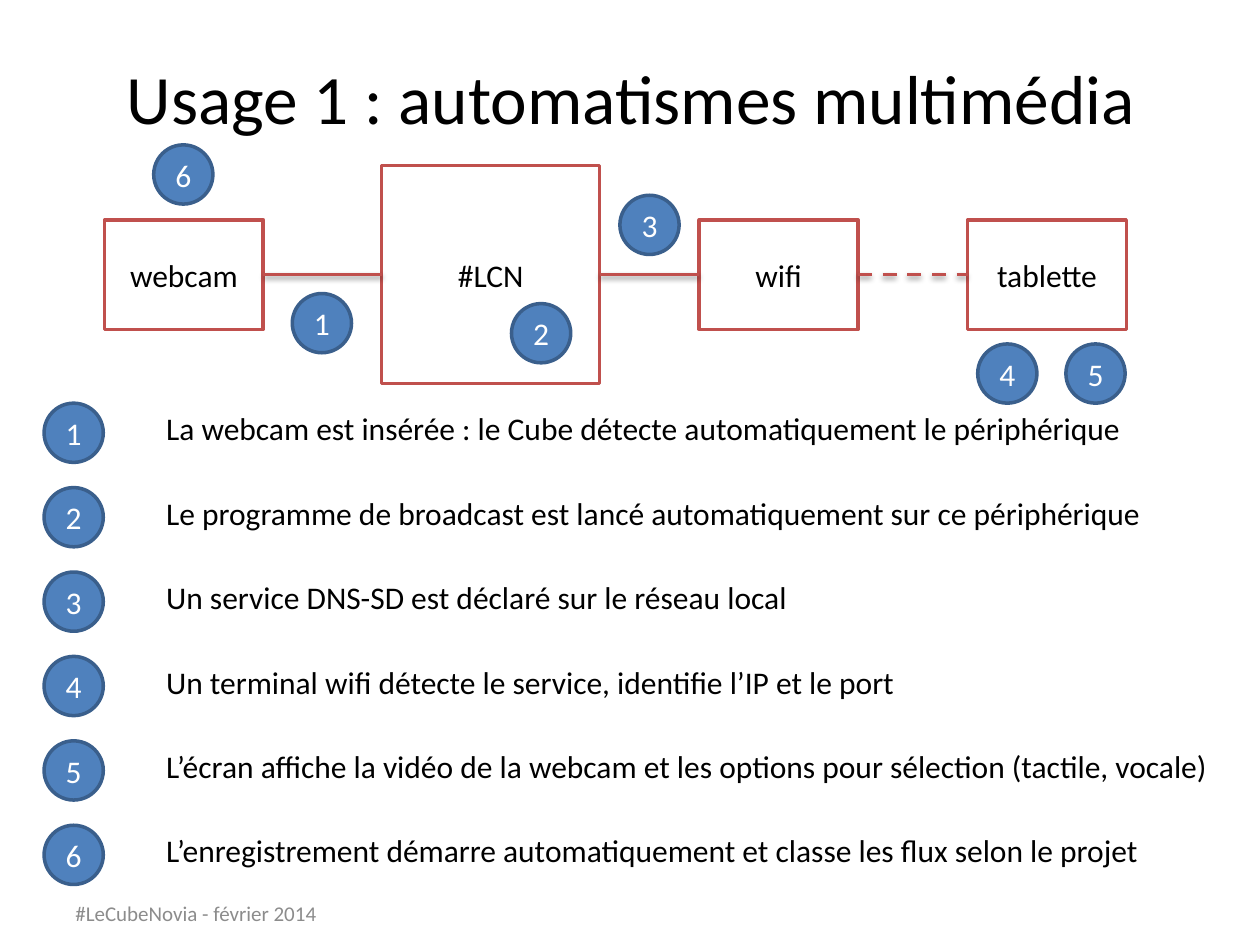
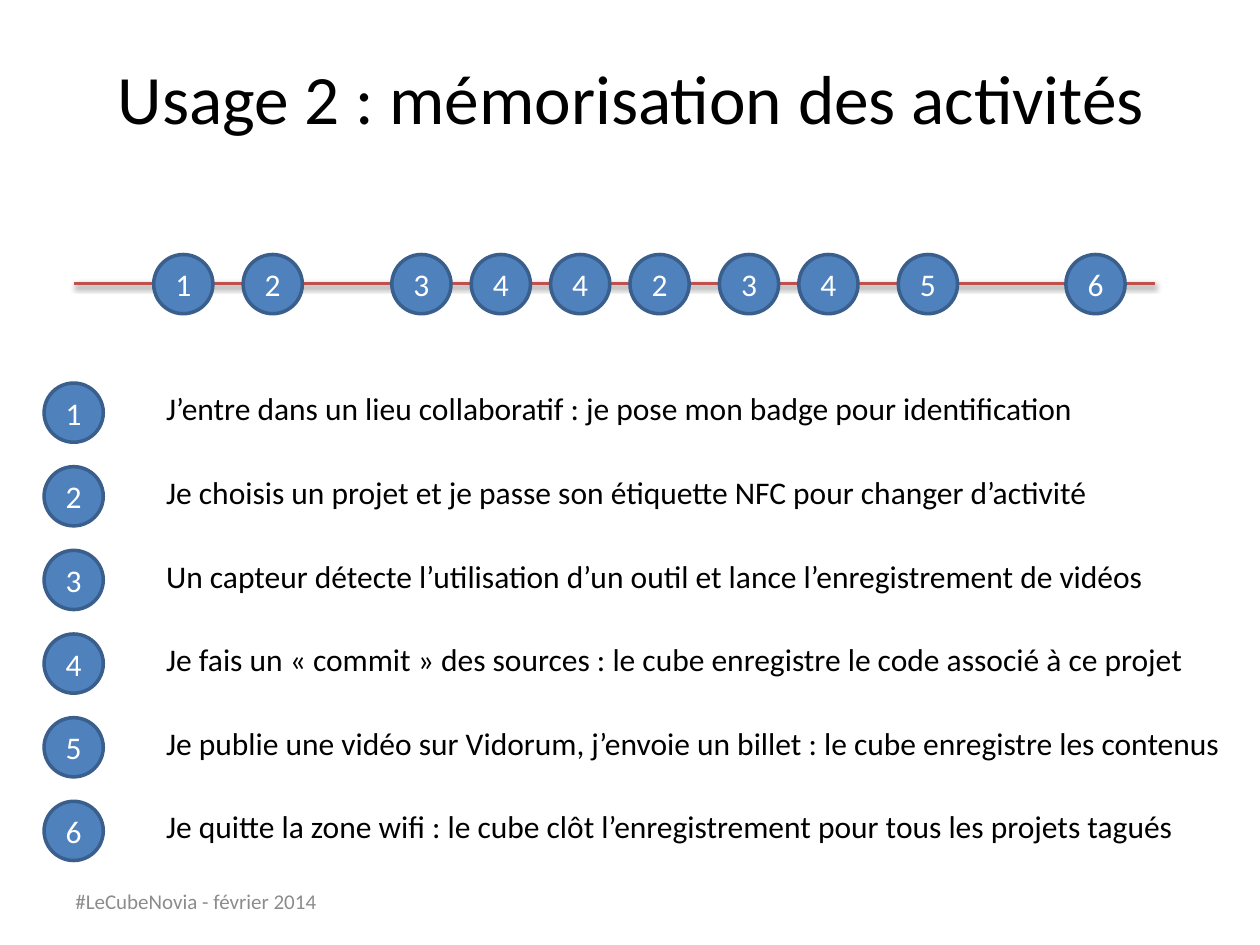
"""Build two slides: a media automation chain and an activity timeline."""
import pptx
import pptx.util
import pptx.dml.color
import pptx.enum.dml
import pptx.enum.shapes
import pptx.enum.text

Inches = pptx.util.Inches
Pt = pptx.util.Pt
RGB = pptx.dml.color.RGBColor
SHAPE = pptx.enum.shapes.MSO_SHAPE
LINE = pptx.enum.shapes.MSO_CONNECTOR.STRAIGHT
DASH = pptx.enum.dml.MSO_LINE.DASH
ALIGN = pptx.enum.text.PP_ALIGN
MIDDLE = pptx.enum.text.MSO_ANCHOR.MIDDLE

FONT = "Calibri"
BLACK = RGB(0x00, 0x00, 0x00)
WHITE = RGB(0xFF, 0xFF, 0xFF)
GREY = RGB(0x8C, 0x8C, 0x8C)
RED = RGB(0xC0, 0x50, 0x4D)
BLUE = RGB(0x4F, 0x81, 0xBD)
NAVY = RGB(0x3A, 0x5F, 0x8C)

FOOTER = "#LeCubeNovia - février 2014"
DOT = 0.47

CHAIN = {
    "title": "Usage 1 : automatismes multimédia",
    "steps": [
        "La webcam est insérée : le Cube détecte automatiquement le périphérique",
        "Le programme de broadcast est lancé automatiquement sur ce périphérique",
        "Un service DNS-SD est déclaré sur le réseau local",
        "Un terminal wifi détecte le service, identifie l’IP et le port",
        "L’écran affiche la vidéo de la webcam et les options pour sélection (tactile, vocale)",
        "L’enregistrement démarre automatiquement et classe les flux selon le projet",
    ],
    "top": 3.2, "pitch": 0.67, "foot": 7.05,
    "dots": [(1, 2.32, 2.33), (2, 4.06, 2.41), (3, 4.92, 1.55),
             (4, 7.76, 2.73), (5, 8.46, 2.73), (6, 1.22, 1.15)],
}
NODES = [("webcam", 0.83, 1.26, 0.87), ("#LCN", 3.03, 1.73, 1.73),
         ("wifi", 5.55, 1.26, 0.87), ("tablette", 7.68, 1.26, 0.87)]
AXIS = 2.18

TIMES = {
    "title": "Usage 2 : mémorisation des activités",
    "steps": [
        "J’entre dans un lieu collaboratif : je pose mon badge pour identification",
        "Je choisis un projet et je passe son étiquette NFC pour changer d’activité",
        "Un capteur détecte l’utilisation d’un outil et lance l’enregistrement de vidéos",
        "Je fais un « commit » des sources : le cube enregistre le code associé à ce projet",
        "Je publie une vidéo sur Vidorum, j’envoie un billet : le cube enregistre les contenus",
        "Je quitte la zone wifi : le cube clôt l’enregistrement pour tous les projets tagués",
    ],
    "top": 3.04, "pitch": 0.664, "foot": 6.95,
    "dots": [(num, left, 2.02) for num, left in [
        (1, 1.22), (2, 1.93), (3, 3.11), (4, 3.74), (4, 4.37),
        (2, 5), (3, 5.71), (4, 6.34), (5, 7.13), (6, 8.46)]],
}
TRACK = (0.59, 9.17, 2.25)


def write(frame, text, size, color, align=ALIGN.LEFT):
    frame.text = text
    frame.word_wrap = True
    para = frame.paragraphs[0]
    para.alignment = align
    para.font.name = FONT
    para.font.size = Pt(size)
    para.font.color.rgb = color


def label(slide, text, left, top, width, size, color):
    box = slide.shapes.add_textbox(*map(Inches, (left, top, width, 0.4)))
    write(box.text_frame, text, size, color)
    return box.text_frame


def block(slide, kind, text, place, fill, edge, color):
    shape = slide.shapes.add_shape(kind, *map(Inches, place))
    shape.shadow.inherit = False
    shape.fill.solid()
    shape.fill.fore_color.rgb = fill
    shape.line.color.rgb = edge
    shape.line.width = Pt(2)
    write(shape.text_frame, text, 18, color, ALIGN.CENTER)
    shape.text_frame.vertical_anchor = MIDDLE
    return shape


def dot(slide, num, left, top):
    block(slide, SHAPE.OVAL, str(num), (left, top, DOT, DOT), BLUE, NAVY, WHITE)


def link(slide, start, end, height):
    wire = slide.shapes.add_connector(
        LINE, *map(Inches, (start, height, end, height)))
    wire.line.color.rgb = RED
    wire.line.width = Pt(2)
    return wire


def open_slide(deck, page):
    slide = deck.slides.add_slide(deck.slide_layouts[5])
    title = slide.shapes.title
    title.left, title.top, title.width, title.height = map(
        Inches, (0.51, 0.14, 9, 1.25))
    write(title.text_frame, page["title"], 39.6, BLACK, ALIGN.CENTER)
    title.text_frame.vertical_anchor = MIDDLE
    return slide


def fill_slide(slide, page):
    for num, left, top in page["dots"]:
        dot(slide, num, left, top)
    for num, step in enumerate(page["steps"], 1):
        top = page["top"] + (num - 1) * page["pitch"]
        dot(slide, num, 0.35, top)
        label(slide, step, 1.22, top, 8.78, 18, BLACK)
    foot = label(slide, FOOTER, 0.5, page["foot"], 2.33, 12, GREY)
    foot.vertical_anchor = MIDDLE


def draw_chain(slide):
    boxes = [block(slide, SHAPE.RECTANGLE, name,
                   (left, AXIS - high / 2, wide, high), WHITE, RED, BLACK)
             for name, left, wide, high in NODES]
    for first, second in zip(boxes, boxes[1:]):
        wire = link(slide, 0, 1, AXIS)
        wire.begin_connect(first, 3)
        wire.end_connect(second, 1)
    wire.line.dash_style = DASH


def main():
    deck = pptx.Presentation()
    deck.slide_width, deck.slide_height = Inches(10), Inches(7.5)
    slide = open_slide(deck, CHAIN)
    draw_chain(slide)
    fill_slide(slide, CHAIN)
    slide = open_slide(deck, TIMES)
    link(slide, *TRACK)
    fill_slide(slide, TIMES)
    deck.save("out.pptx")


if __name__ == "__main__":
    main()
